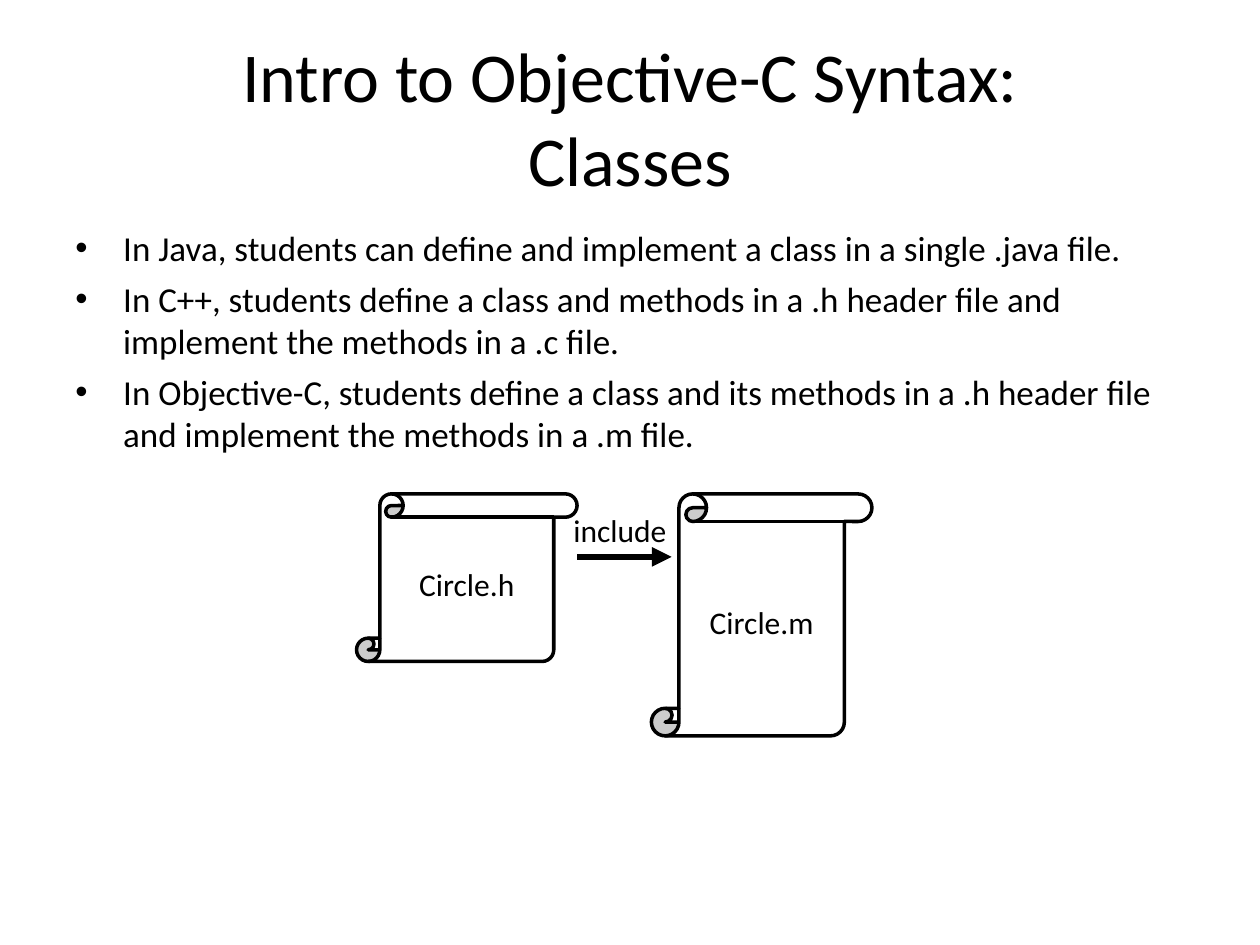
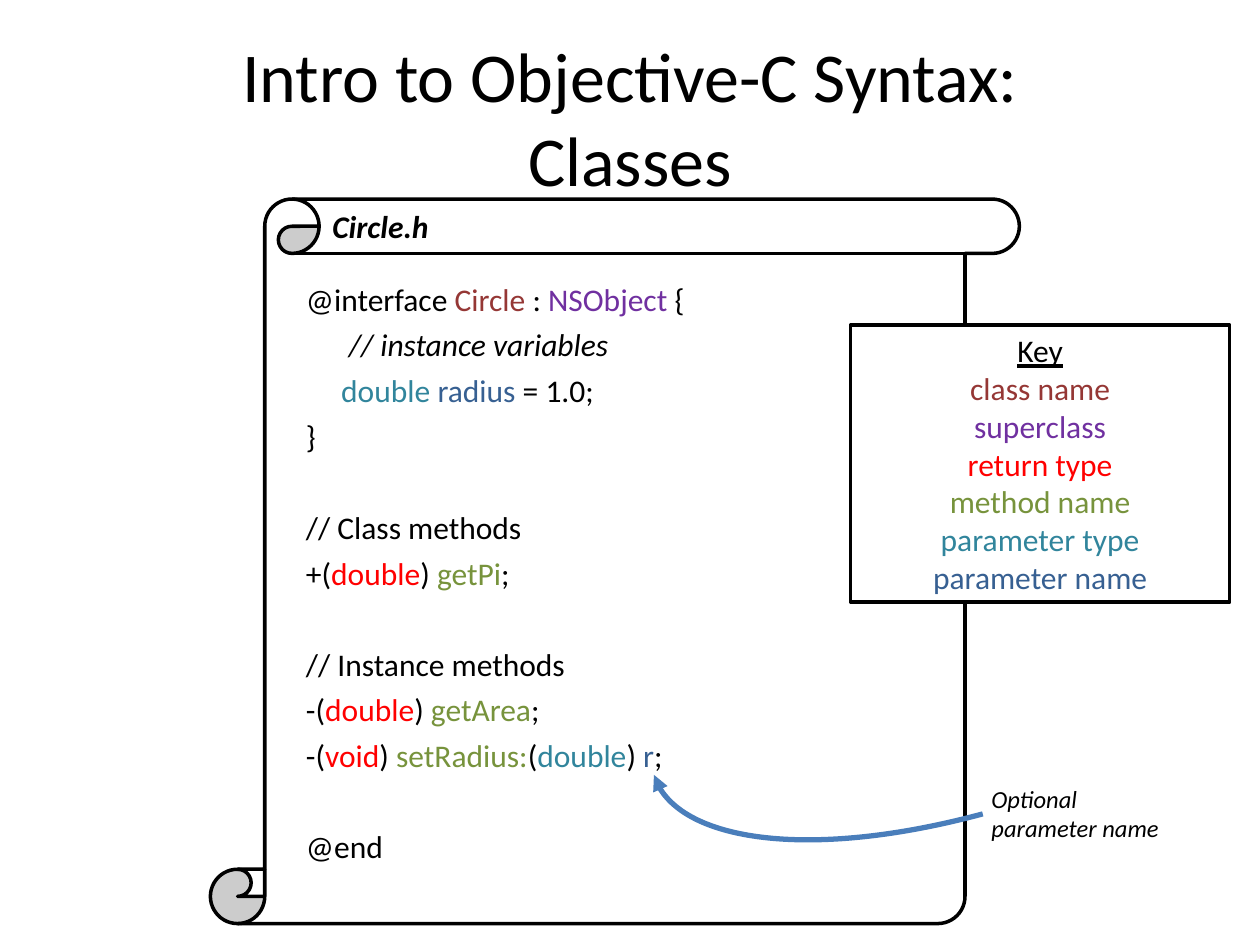
import pptx
import pptx.util
import pptx.dml.color
import pptx.enum.shapes
import pptx.enum.text
import pptx.oxml.ns
import lxml.etree

Inches = pptx.util.Inches
Pt = pptx.util.Pt
RGBColor = pptx.dml.color.RGBColor
Align = pptx.enum.text.PP_ALIGN
Anchor = pptx.enum.text.MSO_ANCHOR
AutoSize = pptx.enum.text.MSO_AUTO_SIZE
Shape = pptx.enum.shapes.MSO_SHAPE
qn = pptx.oxml.ns.qn

FONT = "Calibri"
BLACK = RGBColor(0x00, 0x00, 0x00)
WHITE = RGBColor(0xFF, 0xFF, 0xFF)
CLASS_NAME = RGBColor(0x95, 0x37, 0x35)
SUPERCLASS = RGBColor(0x70, 0x30, 0xA0)
RETURN_TYPE = RGBColor(0xFF, 0x00, 0x00)
METHOD_NAME = RGBColor(0x77, 0x93, 0x3C)
PARAMETER_TYPE = RGBColor(0x31, 0x85, 0x9C)
PARAMETER_NAME = RGBColor(0x37, 0x60, 0x92)
POINTER = RGBColor(0x4A, 0x7E, 0xBB)

TITLE = "Intro to Objective-C Syntax:\vClasses"

LANGUAGE_POINTS = [
    "In Java, students can define and implement a class in a single .java file.",
    "In C++, students define a class and methods in a .h header file and "
    "implement the methods in a .c file.",
    "In Objective-C, students define a class and its methods in a .h header file "
    "and implement the methods in a .m file.",
]

FILE_SCROLLS = [
    ("Circle.h", (2.83, 3.92, 1.75, 1.33), 0.139),
    ("Circle.m", (5.17, 3.92, 1.75, 1.92), 0.125),
]

CODE_GAP = 4.5
SECTION_GAP = 30.5
CODE_LINES = [
    (CODE_GAP, 0, [("@interface ", BLACK), ("Circle", CLASS_NAME), (" : ", BLACK),
                   ("NSObject ", SUPERCLASS), ("{", BLACK)]),
    (CODE_GAP, 0.34, [("// instance variables", BLACK)]),
    (CODE_GAP, 0.28, [("double ", PARAMETER_TYPE), ("radius", PARAMETER_NAME),
                      (" = 1.0;", BLACK)]),
    (CODE_GAP, 0, [("}", BLACK)]),
    (SECTION_GAP, 0, [("// Class methods", BLACK)]),
    (CODE_GAP, 0, [("+(", BLACK), ("double", RETURN_TYPE), (") ", BLACK),
                   ("getPi", METHOD_NAME), (";", BLACK)]),
    (SECTION_GAP, 0, [("// Instance methods", BLACK)]),
    (CODE_GAP, 0, [("-(", BLACK), ("double", RETURN_TYPE), (") ", BLACK),
                   ("getArea", METHOD_NAME), (";", BLACK)]),
    (CODE_GAP, 0, [("-(", BLACK), ("void", RETURN_TYPE), (") ", BLACK),
                   ("setRadius:", METHOD_NAME), ("(", BLACK),
                   ("double", PARAMETER_TYPE), (") ", BLACK),
                   ("r", PARAMETER_NAME), (";", BLACK)]),
    (SECTION_GAP, 0, [("@end", BLACK)]),
]
ITALIC_CODE_LINE = 1

KEY = [
    ("Key", BLACK),
    ("class name", CLASS_NAME),
    ("superclass", SUPERCLASS),
    ("return type", RETURN_TYPE),
    ("method name", METHOD_NAME),
    ("parameter type", PARAMETER_TYPE),
    ("parameter name", PARAMETER_NAME),
]

POINTER_CURVE = [(7.8, 6.46), (6.5, 6.81), (5.34, 6.68), (5.19, 6.15)]


def style_span(span, size, colour=BLACK, bold=False, italic=False):
    span.font.name = FONT
    span.font.size = Pt(size)
    span.font.color.rgb = colour
    span.font.bold = bold
    span.font.italic = italic


def fill_frame(frame, lines, size, align=Align.LEFT, **style):
    frame.text = "\n".join(lines)
    for para in frame.paragraphs:
        para.alignment = align
        for span in para.runs:
            style_span(span, size, **style)


def add_box(page, place, lines, size, align=Align.LEFT, grow=False, **style):
    box = page.shapes.add_textbox(*map(Inches, place))
    frame = box.text_frame
    frame.word_wrap = True
    frame.auto_size = AutoSize.SHAPE_TO_FIT_TEXT if grow else AutoSize.NONE
    fill_frame(frame, lines, size, align, **style)
    return box


def add_title(page):
    box = add_box(page, (0.5, 0.3, 9, 1.25), [TITLE], 40, Align.CENTER)
    box.text_frame.vertical_anchor = Anchor.MIDDLE


def add_panel(page, kind, place):
    panel = page.shapes.add_shape(kind, *map(Inches, place))
    panel.shadow.inherit = False
    panel.fill.solid()
    panel.fill.fore_color.rgb = WHITE
    panel.line.color.rgb = BLACK
    panel.line.width = Pt(2)
    return panel


def add_scroll(page, place, curl):
    scroll = add_panel(page, Shape.VERTICAL_SCROLL, place)
    scroll.adjustments[0] = curl
    return scroll


def style_arrow(arrow, colour, width):
    arrow.line.color.rgb = colour
    arrow.line.width = Pt(width)
    outline = arrow.line._get_or_add_ln()
    lxml.etree.SubElement(outline, qn("a:tailEnd"), type="triangle")


def set_indent(para, left, first=0):
    properties = para._p.get_or_add_pPr()
    properties.set("marL", str(Inches(left)))
    properties.set("indent", str(Inches(first)))
    return properties


def add_bullets(page):
    box = add_box(page, (0.5, 1.75, 9, 4.95), LANGUAGE_POINTS, 20)
    for para in box.text_frame.paragraphs:
        para.space_before = Pt(5)
        properties = set_indent(para, 0.38, -0.38)
        lxml.etree.SubElement(properties, qn("a:buFont"), typeface="Arial")
        lxml.etree.SubElement(properties, qn("a:buChar"), char="•")


def add_include_arrow(page):
    straight = pptx.enum.shapes.MSO_CONNECTOR.STRAIGHT
    arrow = page.shapes.add_connector(straight, *map(Inches, (4.58, 4.42, 5.33, 4.42)))
    style_arrow(arrow, BLACK, 3.75)
    lxml.etree.SubElement(arrow._element.spPr, qn("a:effectLst"))
    add_box(page, (4.42, 4.01, 1, 0.4), ["include"], 18, Align.CENTER, grow=True)


def add_code(page):
    lines = ["".join(text for text, colour in parts) for gap, indent, parts in CODE_LINES]
    box = add_box(page, (2.33, 2.17, 4.75, 4.95), lines, 18)
    for number, (gap, indent, parts) in enumerate(CODE_LINES):
        para = box.text_frame.paragraphs[number]
        para.space_before = Pt(gap)
        set_indent(para, indent)
        para.clear()
        for text, colour in parts:
            span = para.add_run()
            span.text = text
            style_span(span, 18, colour, italic=number == ITALIC_CODE_LINE)


def add_key(page):
    panel = add_panel(page, Shape.RECTANGLE, (6.75, 2.58, 3.01, 2.2))
    frame = panel.text_frame
    frame.vertical_anchor = Anchor.TOP
    fill_frame(frame, [name for name, colour in KEY], 18, Align.CENTER)
    for para, (name, colour) in zip(frame.paragraphs, KEY):
        para.runs[0].font.color.rgb = colour
    frame.paragraphs[0].runs[0].font.underline = True


def add_pointer(page):
    start, *others = [tuple(map(Inches, point)) for point in POINTER_CURVE]
    builder = page.shapes.build_freeform(*start)
    builder.add_line_segments(others, close=False)
    pointer = builder.convert_to_shape()
    outline = pointer._element.find(".//" + qn("a:path"))
    curve = lxml.etree.SubElement(outline, qn("a:cubicBezTo"))
    for segment in outline.findall(qn("a:lnTo")):
        curve.append(segment[0])
        outline.remove(segment)
    pointer.shadow.inherit = False
    pointer.fill.background()
    style_arrow(pointer, POINTER, 3)


def build_files_page(page):
    add_title(page)
    add_bullets(page)
    for name, place, curl in FILE_SCROLLS:
        scroll = add_scroll(page, place, curl)
        scroll.text_frame.vertical_anchor = Anchor.MIDDLE
        fill_frame(scroll.text_frame, [name], 18, Align.CENTER)
    add_include_arrow(page)


def build_header_page(page):
    add_scroll(page, (1.67, 1.58, 6.42, 5.75), 0.075)
    add_title(page)
    add_code(page)
    add_box(page, (2.47, 1.59, 1.1, 0.4), ["Circle.h"], 18, Align.CENTER,
            bold=True, italic=True)
    add_key(page)
    add_pointer(page)
    add_box(page, (7.77, 6.17, 1.58, 0.57), ["Optional parameter name"], 14,
            grow=True, italic=True)


def main():
    deck = pptx.Presentation()
    deck.slide_width = Inches(10)
    deck.slide_height = Inches(7.5)
    for build_page in (build_files_page, build_header_page):
        build_page(deck.slides.add_slide(deck.slide_layouts[6]))
    deck.save("out.pptx")


if __name__ == "__main__":
    main()
